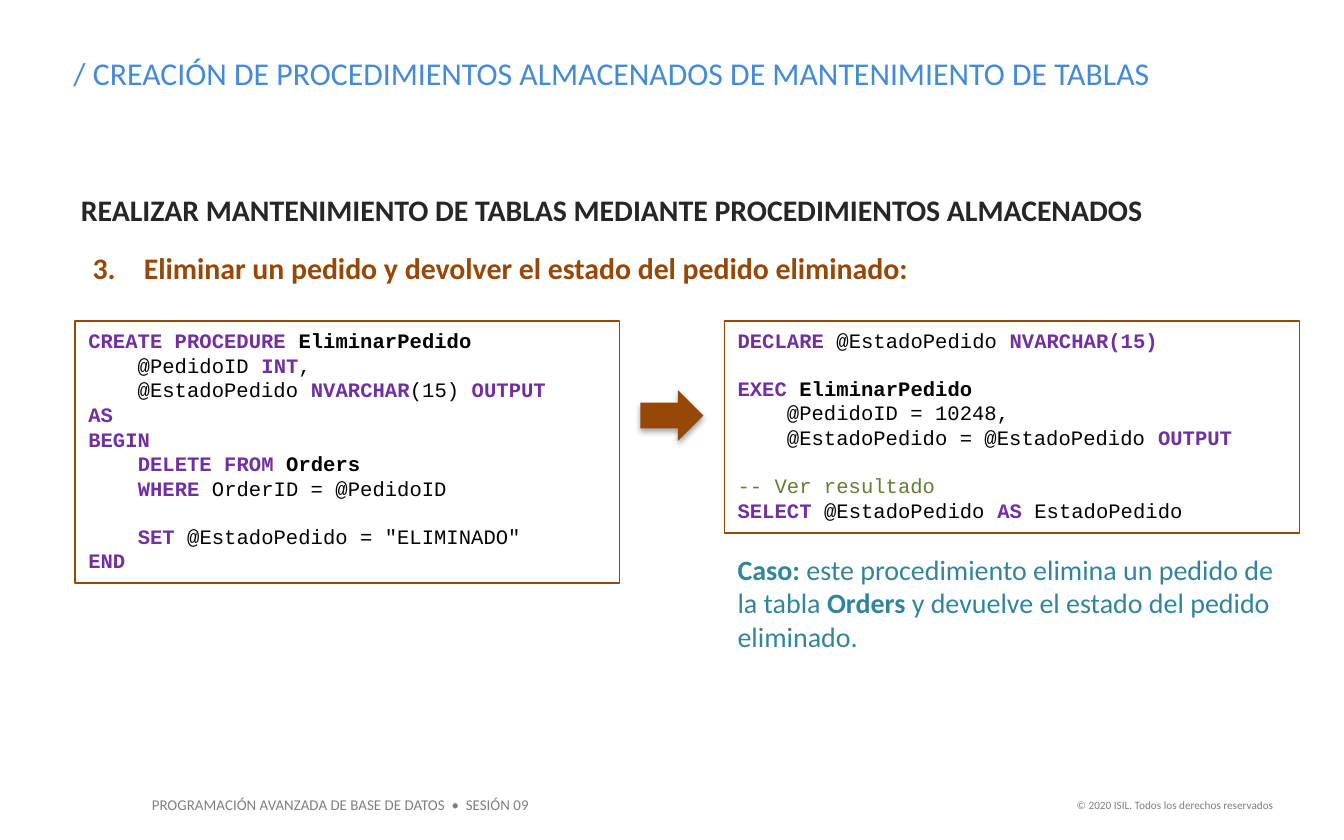
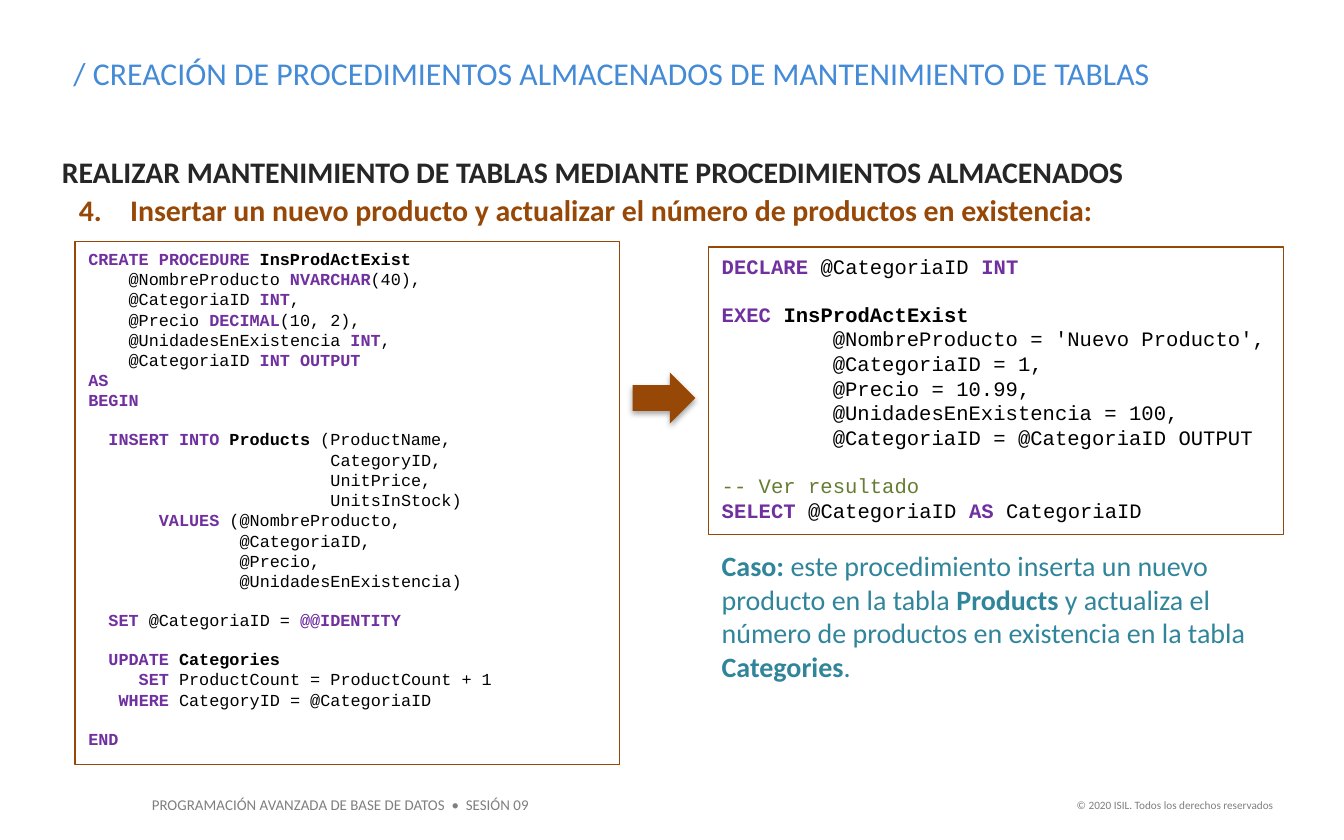
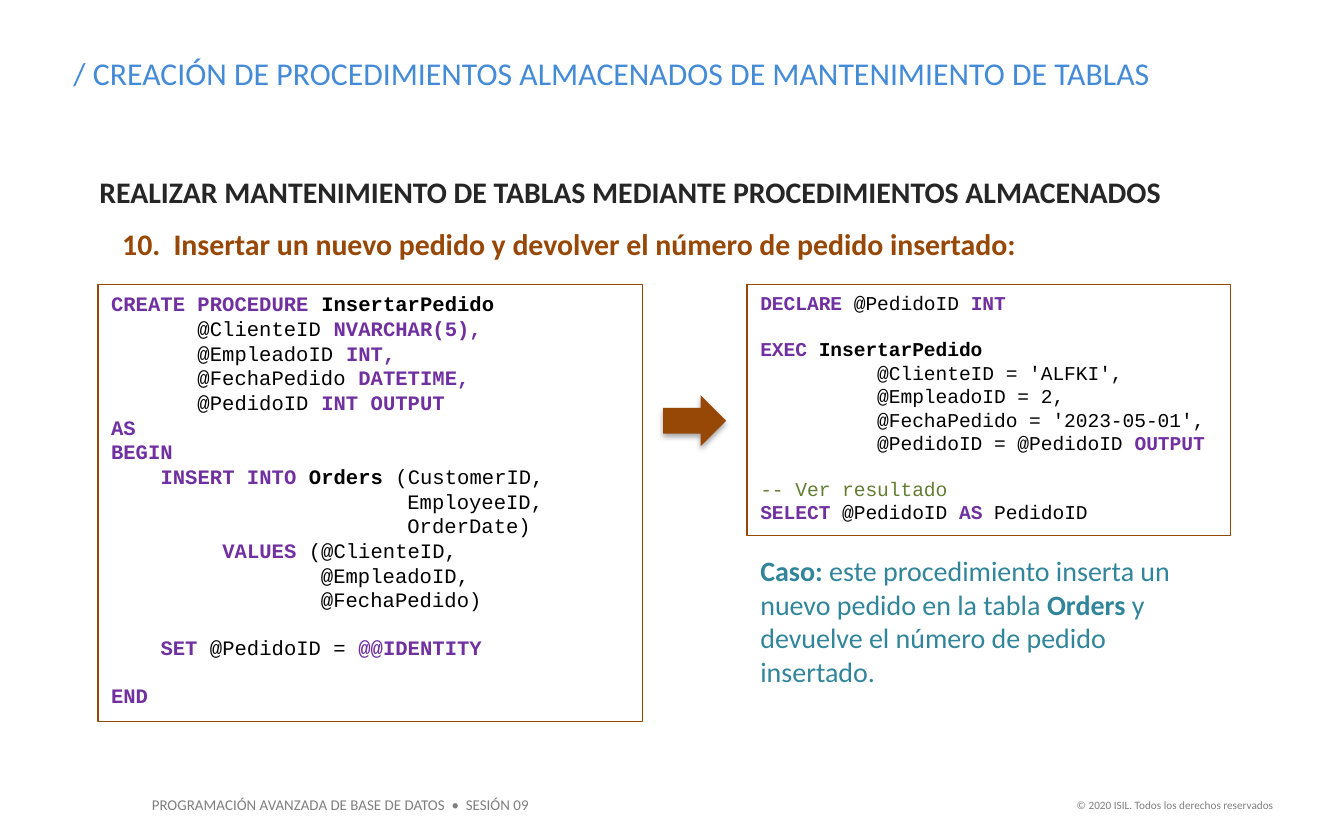
import pptx
import pptx.dml.color
import pptx.enum.shapes
import pptx.enum.text
import pptx.oxml.ns
import pptx.util
from lxml import etree

Cm = pptx.util.Cm
Pt = pptx.util.Pt
RGBColor = pptx.dml.color.RGBColor
SHAPES = pptx.enum.shapes.MSO_SHAPE
ALIGN = pptx.enum.text.PP_ALIGN

BLUE = RGBColor(0x43, 0x8A, 0xD7)
BROWN = RGBColor(0x97, 0x48, 0x06)
PURPLE = RGBColor(0x70, 0x30, 0xA0)
GREEN = RGBColor(0x64, 0x7D, 0x33)
TEAL = RGBColor(0x31, 0x85, 0x9B)
DARK = RGBColor(0x26, 0x26, 0x26)
GREY = RGBColor(0x7F, 0x7F, 0x7F)
BLACK = RGBColor(0, 0, 0)

TITLE = "/ CREACIÓN DE PROCEDIMIENTOS ALMACENADOS DE MANTENIMIENTO DE TABLAS"
HEADING = "REALIZAR MANTENIMIENTO DE TABLAS MEDIANTE PROCEDIMIENTOS ALMACENADOS"
COURSE = "PROGRAMACIÓN AVANZADA DE BASE DE DATOS  •  SESIÓN 09"
COPYRIGHT = "© 2020 ISIL. Todos los derechos reservados"

PADDING = {"margin_left": Cm(0.25), "margin_right": Cm(0.25),
           "margin_top": Cm(0.13), "margin_bottom": Cm(0.13)}
NO_PADDING = dict.fromkeys(PADDING, 0)
FRAME = {"word_wrap": True,
         "auto_size": pptx.enum.text.MSO_AUTO_SIZE.SHAPE_TO_FIT_TEXT,
         "vertical_anchor": pptx.enum.text.MSO_ANCHOR.TOP}

BODY_FONT = "Calibri"
CODE_FONT = "Courier New"
CODE_LINE = 1.13
PROCEDURE_WIDTH = 10.29
ARROW_WIDTH, ARROW_HEIGHT = 1.19, 0.97


def apply(target, values):
    for name, value in values.items():
        setattr(target, name, value)


def split_marks(line):
    for i, chunk in enumerate(line.split("*")):
        for j, piece in enumerate(chunk.split("_")):
            if piece:
                yield piece, i % 2 == 1, j % 2 == 1


class Deck:
    def __init__(self):
        self.prs = pptx.Presentation()
        self.prs.slide_width = Cm(25.4)
        self.prs.slide_height = Cm(15.88)

    def slide(self):
        self.s = self.prs.slides.add_slide(self.prs.slide_layouts[6])
        self.text(2.62, 14.91, 7.7, 0.61, COURSE, 8, GREY)
        p = self.text(20.02, 14.96, 4.29, 0.51, COPYRIGHT, 6, GREY)
        p.alignment = ALIGN.RIGHT
        self.text(1.14, 0.89, 22.89, 0.99, TITLE, 17, BLUE)

    def run(self, p, text, size, color, bold=False, font=BODY_FONT):
        r = p.add_run()
        r.text = text
        apply(r.font, {"name": font, "size": Pt(size), "bold": bold})
        r.font.color.rgb = color

    def text(self, x, y, w, h, text, size, color, bold=False, padding=PADDING):
        sp = self.s.shapes.add_textbox(Cm(x), Cm(y), Cm(w), Cm(h))
        apply(sp.text_frame, FRAME | padding)
        p = sp.text_frame.paragraphs[0]
        for piece, _, strong in split_marks(text):
            self.run(p, piece, size, color, bold or strong)
        return p

    def heading(self, x, y):
        p = self.text(x, y, 20.42, 0.69, HEADING, 16, DARK, True, NO_PADDING)
        p.alignment = ALIGN.JUSTIFY
        p._p.get_or_add_pPr().set("marL", str(Cm(0.03)))

    def numbered(self, x, y, w, number, text):
        p = self.text(x, y, w, 0.69, text, 16, BROWN, True, NO_PADDING)
        pPr = p._p.get_or_add_pPr()
        apply_xml = {"marL": Cm(0.99), "indent": Cm(-0.97)}
        for name, value in apply_xml.items():
            pPr.set(name, str(value))
        qn = pptx.oxml.ns.qn
        color = etree.SubElement(pPr, qn("a:buClr"))
        etree.SubElement(color, qn("a:srgbClr"), val=str(BROWN))
        etree.SubElement(pPr, qn("a:buFont"), typeface=BODY_FONT)
        etree.SubElement(pPr, qn("a:buAutoNum"), type="arabicPeriod", startAt=str(number))

    def code(self, x, y, w, h, source, size):
        sp = self.s.shapes.add_shape(SHAPES.RECTANGLE, Cm(x), Cm(y), Cm(w), Cm(h))
        sp.shadow.inherit = False
        sp.fill.background()
        sp.line.color.rgb = BROWN
        sp.line.width = Pt(0.75)
        tf = sp.text_frame
        apply(tf, FRAME | PADDING)
        p, gap = tf.paragraphs[0], False
        for i, line in enumerate(source.strip("\n").splitlines()):
            if not line:
                gap = True
                continue
            if i:
                p = tf.add_paragraph()
            p.alignment = ALIGN.LEFT
            if gap:
                p.space_before = Pt(size * CODE_LINE)
            gap = False
            plain = GREEN if line.startswith("--") else BLACK
            for piece, keyword, name in split_marks(line):
                self.run(p, piece, size, PURPLE if keyword else plain,
                         keyword or name, CODE_FONT)

    def arrow(self, center, y):
        sp = self.s.shapes.add_shape(SHAPES.RIGHT_ARROW, Cm(center - ARROW_WIDTH / 2), Cm(y),
                                     Cm(ARROW_WIDTH), Cm(ARROW_HEIGHT))
        sp.fill.solid()
        sp.fill.fore_color.rgb = BROWN
        sp.line.fill.background()
        sp.shadow.inherit = False
        qn = pptx.oxml.ns.qn
        effects = sp._element.spPr.find(qn("a:effectLst"))
        shadow = etree.SubElement(effects, qn("a:outerShdw"), blurRad=str(Pt(3.1)),
                                  dist=str(Pt(1.8)), dir="5400000", rotWithShape="0")
        color = etree.SubElement(shadow, qn("a:srgbClr"), val=str(BLACK))
        etree.SubElement(color, qn("a:alpha"), val="35000")

    def example(self, heading, item, procedure, call, arrow_y, case):
        self.slide()
        self.numbered(*item)
        x, y, h, source, size = procedure
        self.code(x, y, PROCEDURE_WIDTH, h, source, size)
        self.code(*call)
        call_x, call_w = call[0], call[2]
        self.arrow((x + PROCEDURE_WIDTH + call_x) / 2, arrow_y)
        case_y, case_h, case_text = case
        self.text(call_x, case_y, call_w, case_h, case_text, 15, TEAL)
        self.heading(*heading)


DELETE_ORDER = """
*CREATE PROCEDURE* _EliminarPedido_
    @PedidoID *INT*,
    @EstadoPedido *NVARCHAR*(15) *OUTPUT*
*AS*
*BEGIN*
    *DELETE FROM* _Orders_
    *WHERE* OrderID = @PedidoID

    *SET* @EstadoPedido = "ELIMINADO"
*END*
"""

CALL_DELETE_ORDER = """
*DECLARE* @EstadoPedido *NVARCHAR(15)*

*EXEC* _EliminarPedido_
    @PedidoID = 10248,
    @EstadoPedido = @EstadoPedido *OUTPUT*

-- Ver resultado
*SELECT* @EstadoPedido *AS* EstadoPedido
"""

INSERT_PRODUCT = """
*CREATE PROCEDURE* _InsProdActExist_
    @NombreProducto *NVARCHAR*(40),
    @CategoriaID *INT*,
    @Precio *DECIMAL*(10, 2),
    @UnidadesEnExistencia *INT*,
    @CategoriaID *INT OUTPUT*
*AS*
*BEGIN*

  *INSERT INTO* _Products_ (ProductName,
                        CategoryID,
                        UnitPrice,
                        UnitsInStock)
       *VALUES* (@NombreProducto,
               @CategoriaID,
               @Precio,
               @UnidadesEnExistencia)

  *SET* @CategoriaID = *@@IDENTITY*

  *UPDATE* _Categories_
     *SET* ProductCount = ProductCount + 1
   *WHERE* CategoryID = @CategoriaID

*END*
"""

CALL_INSERT_PRODUCT = """
*DECLARE* @CategoriaID *INT*

*EXEC* _InsProdActExist_
         @NombreProducto = 'Nuevo Producto',
         @CategoriaID = 1,
         @Precio = 10.99,
         @UnidadesEnExistencia = 100,
         @CategoriaID = @CategoriaID OUTPUT

-- Ver resultado
*SELECT* @CategoriaID *AS* CategoriaID
"""

INSERT_ORDER = """
*CREATE PROCEDURE* _InsertarPedido_
       @ClienteID *NVARCHAR(5),*
       @EmpleadoID *INT,*
       @FechaPedido *DATETIME,*
       @PedidoID *INT OUTPUT*
*AS*
*BEGIN*
    *INSERT INTO* _Orders_ (CustomerID,
                        EmployeeID,
                        OrderDate)
         *VALUES* (@ClienteID,
                 @EmpleadoID,
                 @FechaPedido)

    *SET* @PedidoID = *@@IDENTITY*

*END*
"""

CALL_INSERT_ORDER = """
*DECLARE* @PedidoID *INT*

*EXEC* _InsertarPedido_
          @ClienteID = 'ALFKI',
          @EmpleadoID = 2,
          @FechaPedido = '2023-05-01',
          @PedidoID = @PedidoID *OUTPUT*

-- Ver resultado
*SELECT* @PedidoID *AS* PedidoID
"""


def main():
    deck = Deck()
    deck.example(
        heading=(1.5, 3.63),
        item=(1.73, 4.72, 16.46, 3,
              "Eliminar un pedido y devolver el estado del pedido eliminado:"),
        procedure=(1.42, 6.07, 4.95, DELETE_ORDER, 11),
        call=(13.69, 6.07, 10.87, 4.01, CALL_DELETE_ORDER, 11),
        arrow_y=7.37,
        case=(10.31, 2.18, "_Caso:_ este procedimiento elimina un pedido de la tabla "
              "_Orders_ y devuelve el estado del pedido eliminado."))
    deck.example(
        heading=(1.14, 2.9),
        item=(1.47, 3.63, 19.91, 4,
              "Insertar un nuevo producto y actualizar el número de productos en existencia:"),
        procedure=(1.42, 4.57, 9.88, INSERT_PRODUCT, 9),
        call=(13.39, 4.67, 10.87, 5.44, CALL_INSERT_PRODUCT, 11),
        arrow_y=7.04,
        case=(10.24, 2.82, "_Caso:_ este procedimiento inserta un nuevo producto en la tabla "
              "_Products_ y actualiza el número de productos en existencia en la tabla "
              "_Categories_."))
    deck.example(
        heading=(1.85, 3.28),
        item=(2.29, 4.27, 19.3, 10,
              "Insertar un nuevo pedido y devolver el número de pedido insertado:"),
        procedure=(1.85, 5.38, 8.26, INSERT_ORDER, 11),
        call=(14.12, 5.38, 9.14, 4.75, CALL_INSERT_ORDER, 10.5),
        arrow_y=7.47,
        case=(10.34, 2.82, "_Caso:_ este procedimiento inserta un nuevo pedido en la tabla "
              "_Orders_ y devuelve el número de pedido insertado."))
    deck.prs.save("out.pptx")


if __name__ == "__main__":
    main()
